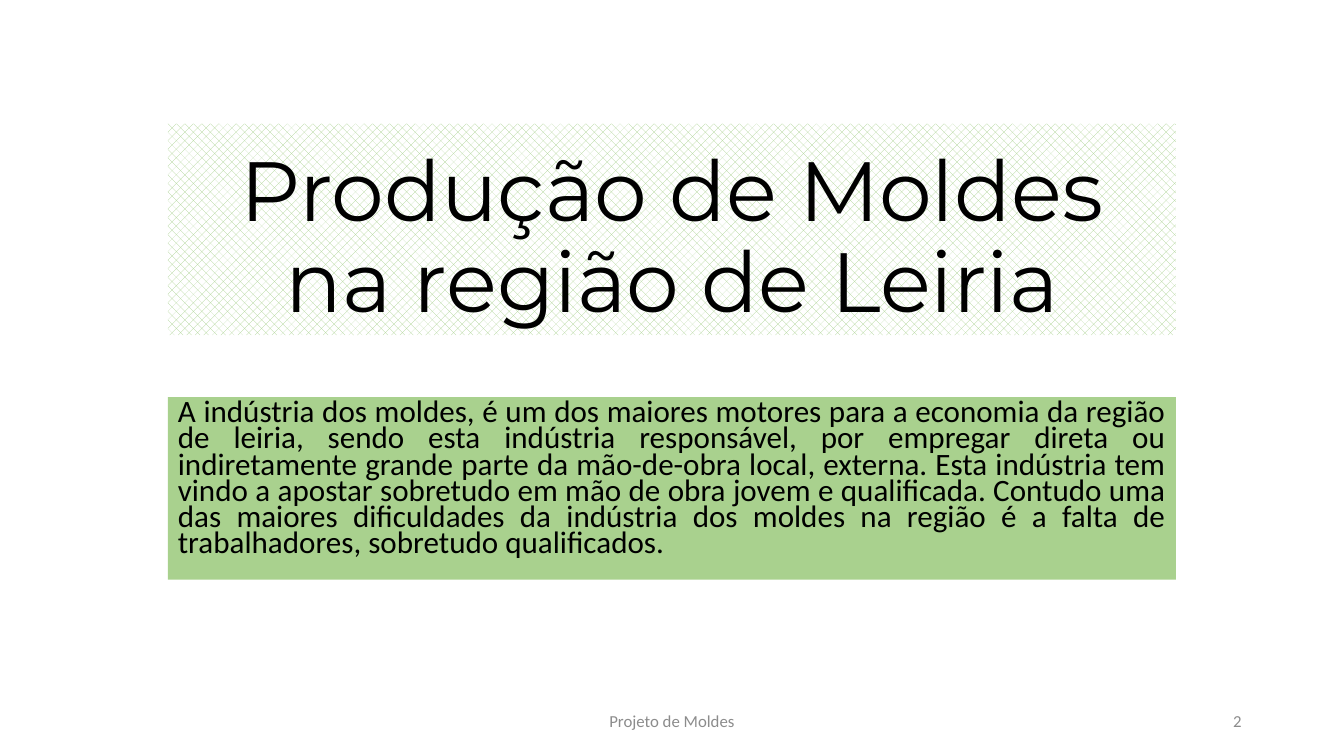
from dataclasses import dataclass

from pptx import Presentation
from pptx.dml.color import RGBColor
from pptx.enum import dml, shapes, text
from pptx.util import Pt


@dataclass(frozen=True)
class Theme:
    ink: str = "000000"
    grey: str = "8C8C8C"
    green: str = "A9D18E"
    white: str = "FFFFFF"
    head: str = "Montserrat"
    body: str = "Calibri"
    large: float = 60
    medium: float = 22.2
    small: float = 12


THEME = Theme()
ALIGN = text.PP_ALIGN
ANCHOR = text.MSO_ANCHOR


def color(code):
    return RGBColor.from_string(code)


def panel(slide, box):
    """Add a rectangle without line or shadow."""
    shape = slide.shapes.add_shape(shapes.MSO_SHAPE.RECTANGLE, *map(Pt, box))
    shape.shadow.inherit = False
    shape.line.fill.background()
    return shape


def write(shape, words, font=THEME.body, size=THEME.small, ink=THEME.ink,
          align=ALIGN.CENTER, anchor=ANCHOR.MIDDLE, pitch=1.0):
    frame = shape.text_frame
    frame.word_wrap = True
    frame.vertical_anchor = anchor
    para = frame.paragraphs[0]
    para.alignment = align
    para.line_spacing = pitch
    run = para.add_run()
    run.text = words
    run.font.name = font
    run.font.size = Pt(size)
    run.font.color.rgb = color(ink)


def title(slide, box, words):
    shape = panel(slide, box)
    fill = shape.fill
    fill.patterned()
    fill.pattern = dml.MSO_PATTERN.from_xml("pct40")
    fill.fore_color.rgb = color(THEME.green)
    fill.back_color.rgb = color(THEME.white)
    write(shape, words, font=THEME.head, size=THEME.large,
          anchor=ANCHOR.BOTTOM, pitch=0.9)


def intro(slide, box, words):
    shape = panel(slide, box)
    shape.fill.solid()
    shape.fill.fore_color.rgb = color(THEME.green)
    write(shape, words, size=THEME.medium, align=ALIGN.JUSTIFY,
          anchor=ANCHOR.TOP, pitch=0.7)


def footer(slide, box, words, number):
    """Centre the words in the box and set the number at its right end."""
    left, top, width, height = box
    mid, end = 324, 216
    parts = (
        (words, left + (width - mid) / 2, mid, ALIGN.CENTER),
        (number, left + width - end, end, ALIGN.RIGHT),
    )
    for part, x, wide, align in parts:
        note = slide.shapes.add_textbox(Pt(x), Pt(top), Pt(wide), Pt(height))
        write(note, part, ink=THEME.grey, align=align)


def main():
    deck = Presentation()
    deck.slide_width, deck.slide_height = Pt(960), Pt(540)
    slide = deck.slides.add_slide(deck.slide_layouts[6])
    title(slide, (120, 88.4, 720, 151), "Produção de Moldes na região de Leiria")
    intro(slide, (120, 283.6, 720, 130.4),
          "A indústria dos moldes, é um dos maiores motores para a economia da "
          "região de leiria, sendo esta indústria responsável, por empregar "
          "direta ou indiretamente grande parte da mão-de-obra local, externa. "
          "Esta indústria tem vindo a apostar sobretudo em mão de obra jovem e "
          "qualificada. Contudo uma das maiores dificuldades da indústria dos "
          "moldes na região é a falta de trabalhadores, sobretudo qualificados.")
    footer(slide, (66, 500.5, 828, 28.75), "Projeto de Moldes", "2")
    deck.save("out.pptx")


if __name__ == "__main__":
    main()
